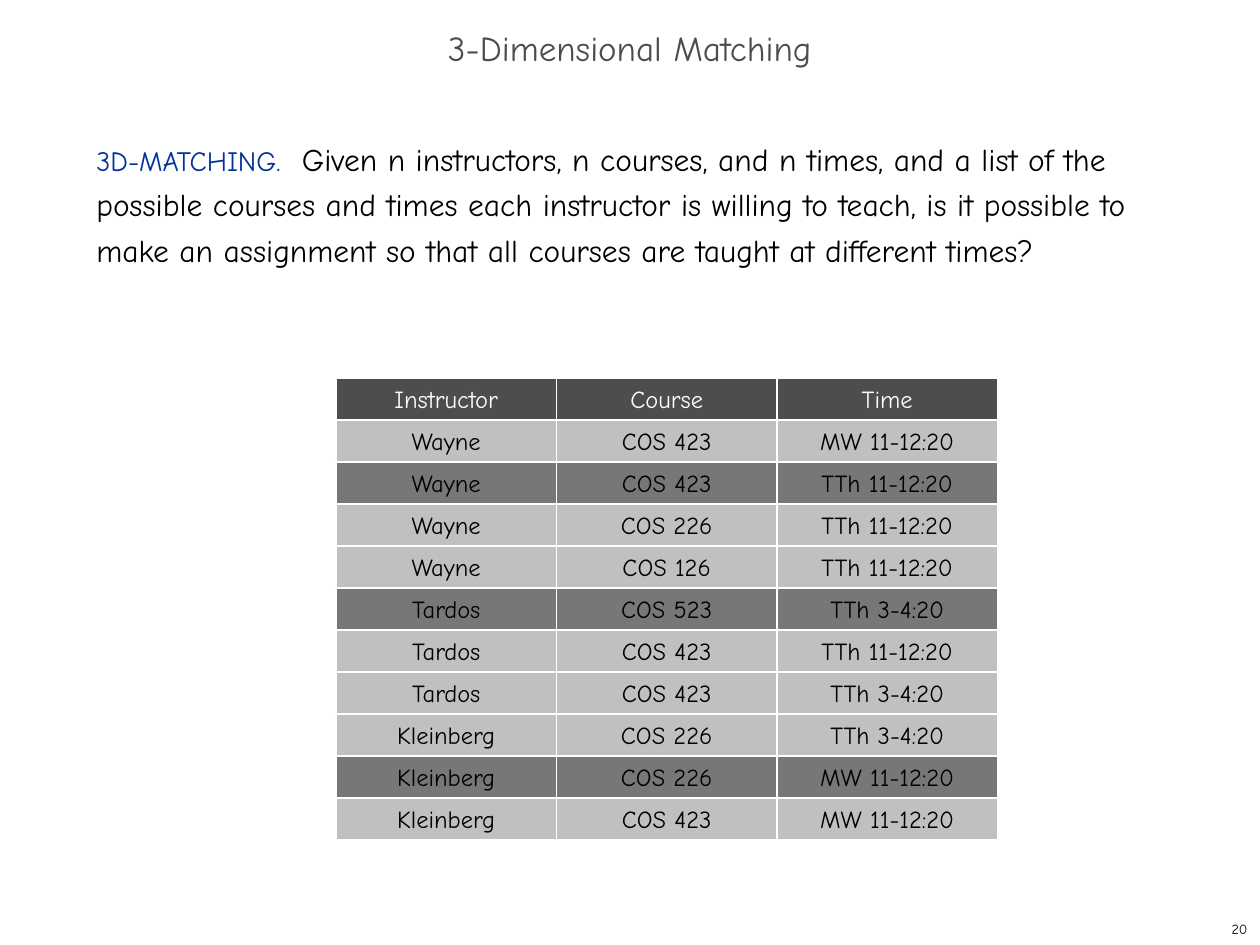
"""Build the 3-Dimensional Matching slide with its grid of teaching options."""
from dataclasses import dataclass
from typing import Any

from pptx import Presentation
from pptx.dml.color import RGBColor
from pptx.enum.shapes import MSO_SHAPE
from pptx.enum.text import MSO_ANCHOR, PP_ALIGN
from pptx.util import Pt

LEFT, CENTER, RIGHT = PP_ALIGN.LEFT, PP_ALIGN.CENTER, PP_ALIGN.RIGHT
TOP, MIDDLE = MSO_ANCHOR.TOP, MSO_ANCHOR.MIDDLE
RECTANGLE = MSO_SHAPE.RECTANGLE
EMU_PER_PX = 9525
FONT = "Comic Neue"
COLORS = {
    "title": "4D4D4D",
    "term": "003399",
    "text": "000000",
    "header": "4D4D4D",
    "option": "C0C0C0",
    "chosen": "777777",
    "white": "FFFFFF",
}
GRID_LEFT, GRID_TOP = 256, 288
COLUMN_WIDTH, ROW_HEIGHT = 168, 32


@dataclass(frozen=True)
class Span:
    text: str
    size: int
    color: str = "text"


@dataclass(frozen=True)
class TextBlock:
    left: int
    top: int
    width: int
    height: int
    spans: tuple[Span, ...]
    frame_format: dict[str, Any]
    para_format: dict[str, Any]


@dataclass(frozen=True)
class Row:
    instructor: str
    course: str
    time: str
    fill: str = "option"
    color: str = "text"


BLOCKS = (
    TextBlock(
        0, 16, 960, 48,
        (Span("3-Dimensional Matching", 20, "title"),),
        {"vertical_anchor": MIDDLE, "word_wrap": True},
        {"alignment": CENTER, "line_spacing": 0.7},
    ),
    TextBlock(
        64, 96, 824, 568,
        (
            Span("3D-MATCHING.", 16, "term"),
            Span(
                "  Given n instructors, n courses, and n times, and a list of the "
                "possible courses and times each instructor is willing to teach, "
                "is it possible to make an assignment so that all courses are "
                "taught at different times?",
                18,
            ),
        ),
        {"vertical_anchor": TOP, "word_wrap": True},
        {"alignment": LEFT, "line_spacing": Pt(26)},
    ),
    TextBlock(
        760, 696, 200, 24,
        (Span("20", 8),),
        {"vertical_anchor": MIDDLE, "word_wrap": True},
        {"alignment": RIGHT},
    ),
)

ROWS = (
    Row("Instructor", "Course", "Time", "header", "white"),
    Row("Wayne", "COS 423", "MW 11-12:20"),
    Row("Wayne", "COS 423", "TTh 11-12:20", "chosen"),
    Row("Wayne", "COS 226", "TTh 11-12:20"),
    Row("Wayne", "COS 126", "TTh 11-12:20"),
    Row("Tardos", "COS 523", "TTh 3-4:20", "chosen"),
    Row("Tardos", "COS 423", "TTh 11-12:20"),
    Row("Tardos", "COS 423", "TTh 3-4:20"),
    Row("Kleinberg", "COS 226", "TTh 3-4:20"),
    Row("Kleinberg", "COS 226", "MW 11-12:20", "chosen"),
    Row("Kleinberg", "COS 423", "MW 11-12:20"),
)


def px(*lengths: int) -> list[int]:
    return [length * EMU_PER_PX for length in lengths]


def rgb(name: str) -> RGBColor:
    return RGBColor.from_string(COLORS[name])


def apply_format(target: Any, values: dict[str, Any]) -> None:
    for name, value in values.items():
        setattr(target, name, value)


def write_text(
    box: Any,
    spans: tuple[Span, ...],
    frame_format: dict[str, Any],
    para_format: dict[str, Any],
) -> None:
    apply_format(box.text_frame, frame_format)
    para = box.text_frame.paragraphs[0]
    apply_format(para, para_format)
    for span in spans:
        run = para.add_run()
        run.text = span.text
        apply_format(run.font, {"name": FONT, "size": Pt(span.size)})
        run.font.color.rgb = rgb(span.color)


def add_block(page: Any, block: TextBlock) -> None:
    box = page.shapes.add_textbox(*px(block.left, block.top, block.width, block.height))
    write_text(box, block.spans, block.frame_format, block.para_format)


def add_cell(page: Any, left: int, top: int, text: str, row: Row) -> None:
    box = page.shapes.add_shape(RECTANGLE, *px(left, top, COLUMN_WIDTH, ROW_HEIGHT))
    box.shadow.inherit = False
    box.fill.solid()
    box.fill.fore_color.rgb = rgb(row.fill)
    box.line.color.rgb = rgb("white")
    box.line.width = Pt(0.75)
    write_text(
        box,
        (Span(text, 14, row.color),),
        {"vertical_anchor": MIDDLE, "word_wrap": False},
        {"alignment": CENTER},
    )


def add_grid(page: Any, rows: tuple[Row, ...]) -> None:
    for row_index, row in enumerate(rows):
        top = GRID_TOP + row_index * ROW_HEIGHT
        for column, text in enumerate((row.instructor, row.course, row.time)):
            add_cell(page, GRID_LEFT + column * COLUMN_WIDTH, top, text, row)


def main() -> None:
    deck = Presentation()
    deck.slide_width, deck.slide_height = px(960, 720)
    page = deck.slides.add_slide(deck.slide_layouts[6])
    for block in BLOCKS:
        add_block(page, block)
    add_grid(page, ROWS)
    deck.save("out.pptx")


if __name__ == "__main__":
    main()
